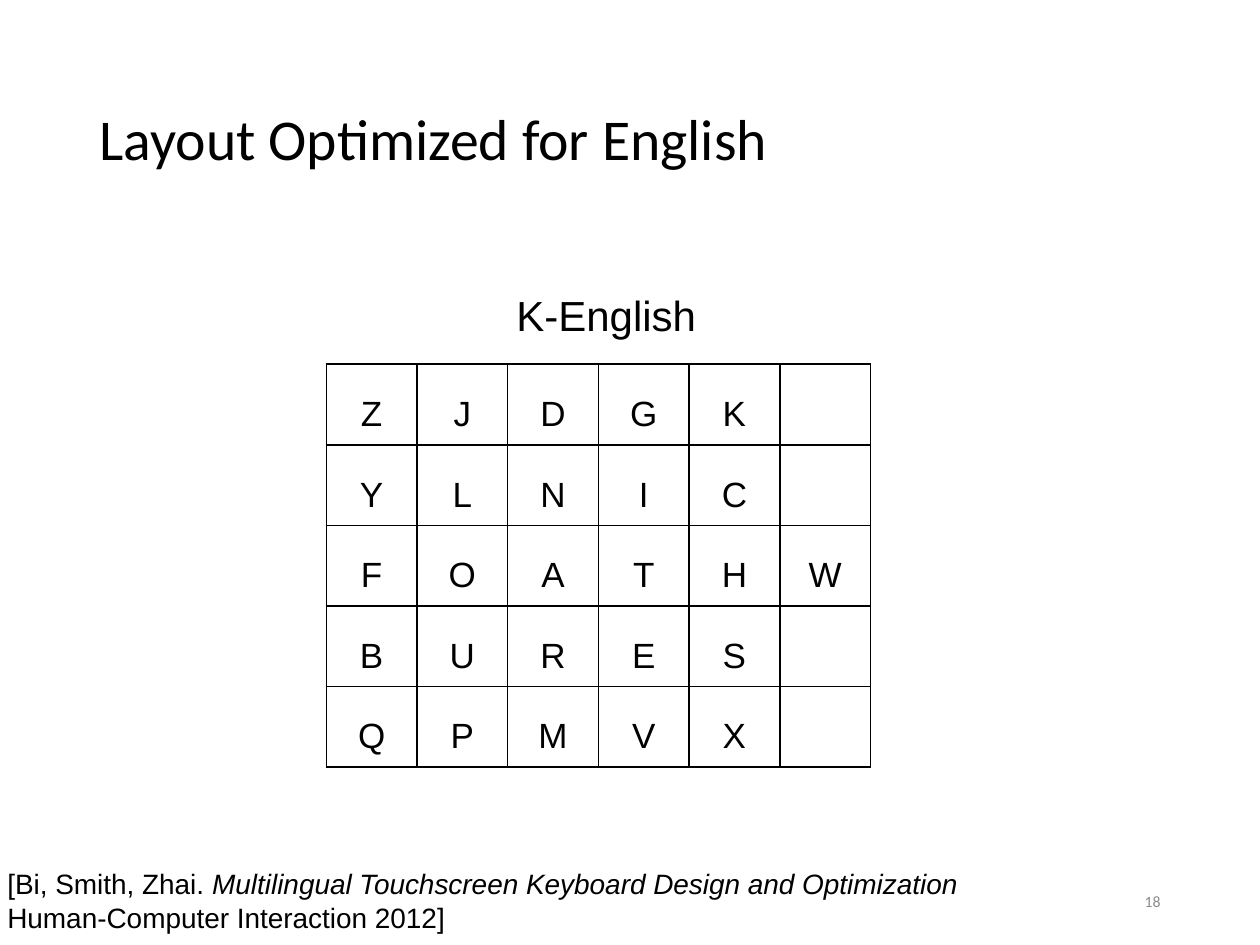
from lxml import etree
from pptx import Presentation
from pptx import util as u
from pptx.dml.color import RGBColor
from pptx.enum import text
from pptx.oxml import ns

KEY_ROWS = ["ZJDGK", "YLNIC", "FOATHW", "BURES", "QPMVX"]
COLUMNS = 6
KEY_WIDTH, KEY_HEIGHT = 0.72, 0.64
BLACK = "000000"


def style(para, size, font="Arial", color=BLACK):
    para.font.size = u.Pt(size)
    para.font.name = font
    para.font.color.rgb = RGBColor.from_string(color)


def add_text(left, top, width, height, lines, size, font="Arial", color=BLACK, wrap=True):
    """Add a text box; each line is a list of (words, italic) runs."""
    box = page.shapes.add_textbox(*map(u.Inches, (left, top, width, height)))
    frame = box.text_frame
    frame.word_wrap = wrap
    for index, line in enumerate(lines):
        para = frame.add_paragraph() if index else frame.paragraphs[0]
        style(para, size, font, color)
        for words, italic in line:
            span = para.add_run()
            span.text = words
            if italic:
                span.font.italic = True
    return frame


deck = Presentation()
deck.slide_width, deck.slide_height = u.Inches(10), u.Inches(7.5)
page = deck.slides.add_slide(deck.slide_layouts[6])

title = add_text(0.69, 0.4, 8.62, 1.45, [[("Layout Optimized for English", False)]], 33, "Calibri")
title.vertical_anchor = text.MSO_ANCHOR.MIDDLE
title.paragraphs[0].line_spacing = 0.9

number = add_text(7.06, 6.95, 2.25, 0.4, [[("18", False)]], 9, "Calibri", "8C8C8C")
number.vertical_anchor = text.MSO_ANCHOR.MIDDLE
number.paragraphs[0].alignment = text.PP_ALIGN.RIGHT

# Keyboard grid
keyboard = page.shapes.add_table(
    len(KEY_ROWS), COLUMNS, u.Inches(2.59), u.Inches(2.89),
    u.Inches(COLUMNS * KEY_WIDTH), u.Inches(len(KEY_ROWS) * KEY_HEIGHT)).table
keyboard.first_row = keyboard.horz_banding = False
for column in keyboard.columns:
    column.width = u.Inches(KEY_WIDTH)
for row, letters in zip(keyboard.rows, KEY_ROWS):
    row.height = u.Inches(KEY_HEIGHT)
    for cell, letter in zip(row.cells, letters.ljust(COLUMNS)):
        cell.vertical_anchor = text.MSO_ANCHOR.MIDDLE
        properties = cell._tc.get_or_add_tcPr()
        for side in ("lnL", "lnR", "lnT", "lnB"):
            border = etree.SubElement(properties, ns.qn(f"a:{side}"), w=str(u.Pt(1)))
            fill = etree.SubElement(border, ns.qn("a:solidFill"))
            etree.SubElement(fill, ns.qn("a:srgbClr"), val=BLACK)
        cell.fill.background()
        para = cell.text_frame.paragraphs[0]
        para.text = letter.strip()
        para.alignment = text.PP_ALIGN.CENTER
        para.line_spacing = 1.5
        style(para, 20)

add_text(4, 2.25, 1.64, 0.5, [[("K-English", False)]], 24, wrap=False)

add_text(-0.04, 6.83, 7.92, 0.91, [
    [("[Bi, Smith, Zhai. ", False),
     ("Multilingual Touchscreen Keyboard Design and Optimization", True)],
    [("Human-Computer Interaction 2012]", False)],
], 16)

deck.save("out.pptx")
